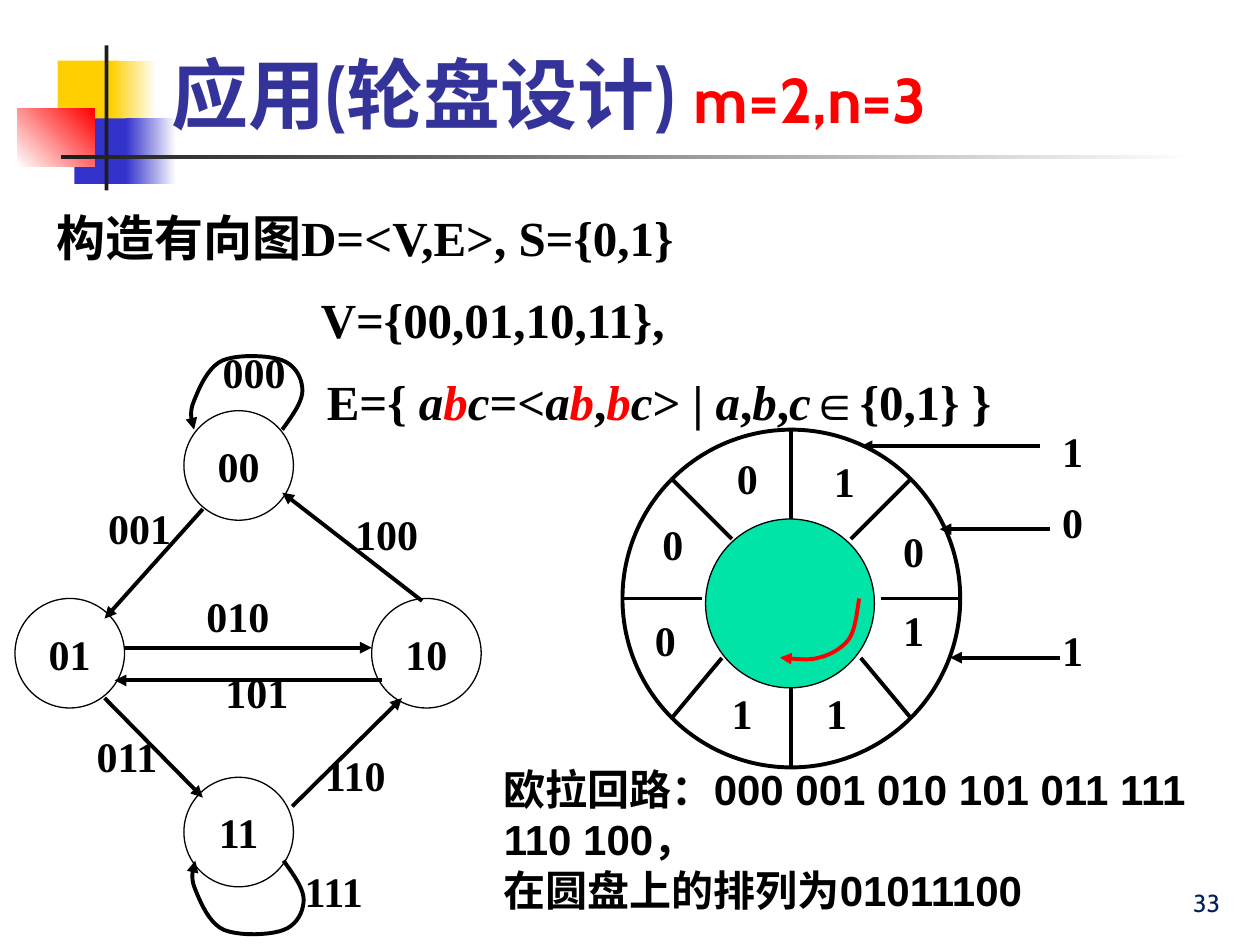
from lxml import etree
from pptx import Presentation
from pptx.dml.color import RGBColor
from pptx.enum import shapes, text
from pptx.oxml import ns
from pptx.util import Pt

SERIF = "Times New Roman"
BLACK, RED, WHITE = "000000", "FF0000", "FFFFFF"

DECOR = [
    (33, 34.6, 34.6, 37.4, ["FFCF01"], 0),
    (63.4, 34.6, 26, 37.4, ["FFCF01", WHITE], 0),
    (42.5, 67.7, 33, 37.4, ["3333CC"], 0),
    (72, 67.7, 28.8, 37.4, ["3333CC", WHITE], 0),
    (10, 62, 44, 33.1, [WHITE, RED], 45),
    (59.8, 26, 2.2, 82.8, ["1C1C1C"], 0),
    (34.6, 88.6, 648, 2.2, ["1C1C1C", WHITE], 0),
]
TITLE = [("应用(轮盘设计) ", {"size": 44, "color": "333399"}),
         ("m=2,n=3", {"size": 36, "color": RED})]
PLAIN, ITALIC, SHARED = {}, {"italic": True}, {"italic": True, "color": RED}
BODY = [
    (0, [("构造有向图D=<V,E>, S={0,1}", PLAIN)]),
    (151, [("V={00,01,10,11},", PLAIN)]),
    (154.5, [("E={ ", PLAIN), ("a", ITALIC), ("b", SHARED), ("c", ITALIC),
             ("=<", PLAIN), ("a", ITALIC), ("b", SHARED), (",", PLAIN),
             ("b", SHARED), ("c", ITALIC), ("> | ", PLAIN), ("a", ITALIC),
             (",", PLAIN), ("b", ITALIC), (",", PLAIN), ("c", ITALIC),
             ("∈{0,1} }", PLAIN)]),
]
CIRCUIT = ["欧拉回路：000 001 010 101 011 111 110 100，",
           "在圆盘上的排列为01011100"]

HUB_X, HUB_Y, RADIUS = 452.2, 342, 96.5
SPOKE_STARTS = [(51, 0), (39.7, 34), (0, 51), (-39.7, 34),
                (-51, 0), (-34, -34), (0, -45.5), (34, -34)]
DIGITS = [
    ("0", 509, 296.6), ("1", 469.4, 257), ("1", 509, 342), ("0", 414, 254.9),
    ("0", 367.2, 347.8), ("1", 465, 389.5), ("0", 371.5, 293),
    ("1", 411, 389.5), ("1", 599.8, 239.8), ("0", 599.8, 280),
    ("1", 599.8, 353.5),
]
READERS = [(594, 491.8, 255), (599.8, 537, 302.4), (605.5, 542.9, 375.8)]
SWIRL = [(491, 342), (489.6, 350.6), (488.9, 359.3), (485.3, 365),
         (481.7, 370.1), (474.5, 374.4), (468, 375.8),
         (461.5, 378), (449.3, 375.8), (445.7, 375.8)]

NODE = 62.6
NODES = [("00", 105.1, 234.7), ("01", 8.6, 342),
         ("10", 212.4, 342), ("11", 105.1, 444.2)]
EDGES = [
    ((115.9, 290.9), (59.8, 353.5)), ((59.8, 398.9), (115.9, 455.8)),
    ((70.6, 370.1), (212.4, 370.1)), ((167, 460.8), (229.7, 398.9)),
    ((241.2, 343.4), (161.3, 281.5)), ((218.2, 388.8), (65.5, 388.8)),
]
EDGE_LABELS = [
    ("000", 120.2, 194.4), ("001", 54.7, 283.7), ("011", 48.2, 414),
    ("010", 110.9, 334.1), ("110", 178.6, 424.8), ("100", 195.8, 287.3),
    ("101", 121.7, 377.3), ("111", 167, 491),
]
TOP_LOOP = [(161.3, 245.5), (167, 237.6), (172.8, 229.7), (172.8, 223.2),
            (172.8, 216.7), (169.2, 208.8), (161.3, 205.9),
            (154.1, 203), (136.1, 202.3), (127.4, 205.9),
            (118.8, 209.5), (113.8, 221.8), (110.9, 229),
            (108, 235.4), (109.4, 240.5), (110.9, 245.5)]
BOTTOM_LOOP = [(x + 0.7, 737.3 - y) for x, y in TOP_LOOP]

deck = Presentation()
deck.slide_width, deck.slide_height = Pt(720), Pt(540)
page = deck.slides.add_slide(deck.slide_layouts[6])


def rgb(value):
    return RGBColor.from_string(value)


def set_font(font, size=None, name=None, color=None, bold=None, italic=None):
    if size:
        font.size = Pt(size)
    if name:
        font.name = name
    if color:
        font.color.rgb = rgb(color)
    if bold is not None:
        font.bold = bold
    if italic is not None:
        font.italic = italic


def add_box(left, top, width, height, wrap=True, anchor=text.MSO_ANCHOR.TOP):
    frame = page.shapes.add_textbox(Pt(left), Pt(top), Pt(width), Pt(height)).text_frame
    frame.word_wrap = wrap
    frame.vertical_anchor = anchor
    return frame


def add_spans(para, spans):
    for words, style in spans:
        span = para.add_run()
        span.text = words
        set_font(span.font, **style)


def add_label(words, left, top):
    frame = add_box(left, top, 12.2 * len(words) + 14.4, 36, wrap=False)
    frame.text = words
    set_font(frame.paragraphs[0].font, 24, SERIF, BLACK, True)


def add_arrowhead(shape):
    etree.SubElement(shape.line._get_or_add_ln(), ns.qn("a:tailEnd"), type="triangle")


def add_line(start, end, arrow=False):
    line = page.shapes.add_connector(
        shapes.MSO_CONNECTOR.STRAIGHT, *[Pt(v) for v in (*start, *end)])
    line.line.color.rgb = rgb(BLACK)
    line.line.width = Pt(2.25)
    if arrow:
        add_arrowhead(line)
    etree.SubElement(line._element.spPr, ns.qn("a:effectLst"))


def add_circle(left, top, size, weight, fill=None):
    circle = page.shapes.add_shape(
        shapes.MSO_SHAPE.OVAL, Pt(left), Pt(top), Pt(size), Pt(size))
    circle.shadow.inherit = False
    if fill:
        circle.fill.solid()
        circle.fill.fore_color.rgb = rgb(fill)
    else:
        circle.fill.background()
    circle.line.color.rgb = rgb(BLACK)
    circle.line.width = Pt(weight)
    return circle


def add_curve(knots, color, steps=10):
    points = [knots[0]]
    for first in range(0, len(knots) - 1, 3):
        a, b, c, d = knots[first:first + 4]
        for step in range(1, steps + 1):
            t = step / steps
            u = 1 - t
            points.append(tuple(
                u**3 * a[i] + 3 * u * u * t * b[i] + 3 * u * t * t * c[i] + t**3 * d[i]
                for i in (0, 1)))
    points = [(Pt(x), Pt(y)) for x, y in points]
    builder = page.shapes.build_freeform(*points[0])
    builder.add_line_segments(points[1:], close=False)
    curve = builder.convert_to_shape()
    curve.shadow.inherit = False
    curve.fill.background()
    curve.line.color.rgb = rgb(color)
    curve.line.width = Pt(2.25)
    add_arrowhead(curve)


for left, top, width, height, colors, angle in DECOR:
    block = page.shapes.add_shape(
        shapes.MSO_SHAPE.RECTANGLE, Pt(left), Pt(top), Pt(width), Pt(height))
    block.shadow.inherit = False
    block.line.fill.background()
    if len(colors) == 1:
        block.fill.solid()
        block.fill.fore_color.rgb = rgb(colors[0])
    else:
        block.fill.gradient()
        block.fill.gradient_angle = angle
        for stop, color in zip(block.fill.gradient_stops, colors):
            stop.color.rgb = rgb(color)

title = add_box(90.7, 5.8, 613.4, 77, anchor=text.MSO_ANCHOR.BOTTOM).paragraphs[0]
set_font(title.font, name="Cabin", bold=True)
add_spans(title, TITLE)

body = add_box(25.2, 111.6, 668.9, 414)
for index, (indent, spans) in enumerate(BODY):
    para = body.add_paragraph() if index else body.paragraphs[0]
    para._p.get_or_add_pPr().set("marL", str(Pt(indent)))
    para.line_spacing = 1.1
    para.space_before = Pt(10 if index else 0)
    set_font(para.font, 28, SERIF, BLACK, True)
    add_spans(para, spans)

add_circle(HUB_X - RADIUS, HUB_Y - RADIUS, 2 * RADIUS, 2.25)
add_circle(403.2, 296.6, RADIUS, 0.75, "00E4A8")
add_curve(SWIRL, RED)
for dx, dy in SPOKE_STARTS:
    reach = RADIUS * (0.707 if dx and dy else 1)
    rim = [reach * ((v > 0) - (v < 0)) for v in (dx, dy)]
    add_line((HUB_X + dx, HUB_Y + dy), (HUB_X + rim[0], HUB_Y + rim[1]))
for start, end, y in READERS:
    add_line((start, y), (end, y), arrow=True)

for name, left, top in NODES:
    frame = add_circle(left, top, NODE, 0.75).text_frame
    frame.word_wrap = False
    frame.vertical_anchor = text.MSO_ANCHOR.MIDDLE
    frame.text = name
    frame.paragraphs[0].alignment = text.PP_ALIGN.CENTER
    set_font(frame.paragraphs[0].font, 24, SERIF, BLACK, True)
for start, end in EDGES:
    add_line(start, end, arrow=True)
for loop in (TOP_LOOP, BOTTOM_LOOP):
    add_curve(loop, BLACK)
for words, left, top in DIGITS + EDGE_LABELS:
    add_label(words, left, top)

circuit = add_box(280.8, 432.7, 414, 94.3)
circuit.text = "\n".join(CIRCUIT)
for para in circuit.paragraphs:
    set_font(para.font, 24, "Arial", BLACK, True)

number = add_box(554.4, 491.8, 149.8, 36, anchor=text.MSO_ANCHOR.BOTTOM)
number.text = "33"
number.paragraphs[0].alignment = text.PP_ALIGN.RIGHT
set_font(number.paragraphs[0].font, 14, "Cabin", "002060")

deck.save("out.pptx")
